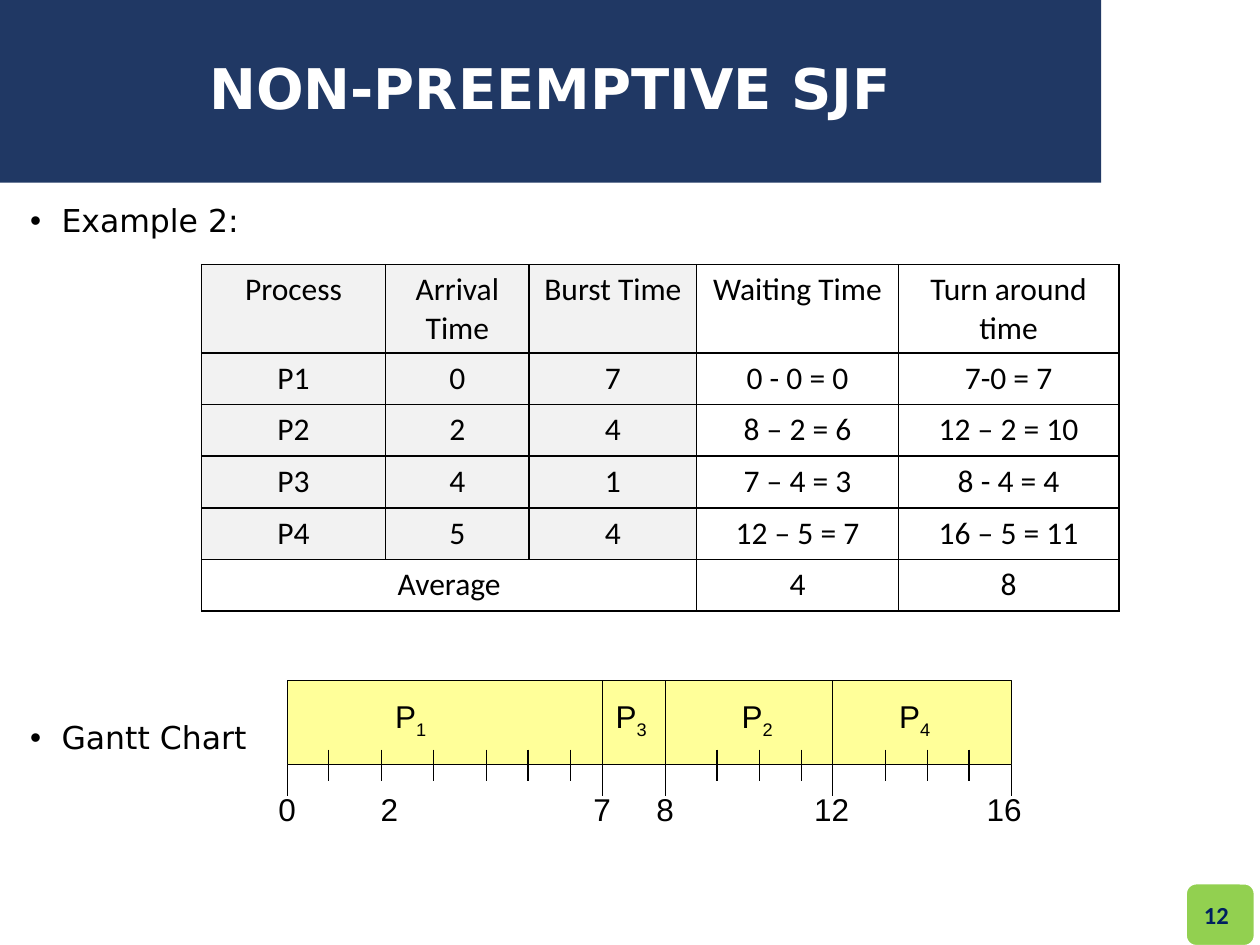
from lxml import etree
from pptx import Presentation
from pptx import util as u
from pptx.dml.color import RGBColor
from pptx.enum import shapes, text
from pptx.oxml import ns

NAVY = RGBColor(0x20, 0x38, 0x64)
NUMBER_BLUE = RGBColor(0x00, 0x20, 0x60)
GREEN = RGBColor(0x92, 0xD0, 0x50)
YELLOW = RGBColor(0xFF, 0xFF, 0x99)
GREY = RGBColor(0xF2, 0xF2, 0xF2)
BLACK = RGBColor(0x00, 0x00, 0x00)
WHITE = RGBColor(0xFF, 0xFF, 0xFF)

ROWS = [
    ["Process", "Arrival Time", "Burst Time", "Waiting Time", "Turn around time"],
    ["P1", "0", "7", "0 - 0 = 0", "7-0 = 7"],
    ["P2", "2", "4", "8 – 2 = 6", "12 – 2 = 10"],
    ["P3", "4", "1", "7 – 4 = 3", "8 - 4 = 4"],
    ["P4", "5", "4", "12 – 5 = 7", "16 – 5 = 11"],
    ["Average", "", "", "4", "8"],
]
COLUMN_WIDTHS = [1.46, 1.14, 1.33, 1.6, 1.75]
ROW_HEIGHT = 0.41

BAR_LEFT, BAR_TOP, BAR_RIGHT, BAR_BOTTOM = 2.28, 5.4, 8.03, 6.07
DIVIDERS = [4.78, 5.28, 6.61]
MINOR_TICKS = [2.61, 3.03, 3.44, 3.86, 4.19, 4.53, 5.69, 6.03, 6.36, 7.03, 7.36, 7.69]
PROCESS_CENTRES = {"1": 3.26, "3": 5.01, "2": 6.01, "4": 7.26}
TIME_CENTRES = {"0": 2.28, "2": 3.09, "7": 4.78, "8": 5.28, "12": 6.6, "16": 7.97}


class SlideBuilder:
    """Holds the style and the current slide, with a method per kind of element."""

    heading_font, table_font, chart_font = "DejaVu Sans", "Calibri", "Arial"
    body_size = 18

    def __init__(self, presentation):
        self.slide = presentation.slides.add_slide(presentation.slide_layouts[5])
        self.target = self.slide.shapes

    def start_group(self):
        self.target = self.slide.shapes.add_group_shape().shapes

    def format(self, paragraph, font, size, color=BLACK, bold=False,
               align=text.PP_ALIGN.CENTER):
        paragraph.alignment = align
        paragraph.font.name = font
        paragraph.font.size = u.Pt(size)
        paragraph.font.bold = bold
        paragraph.font.color.rgb = color

    def title(self, wording, left, top, width, height):
        title = self.slide.shapes.title
        title.left, title.top = u.Inches(left), u.Inches(top)
        title.width, title.height = u.Inches(width), u.Inches(height)
        title.fill.solid()
        title.fill.fore_color.rgb = NAVY
        frame = title.text_frame
        frame.text = wording
        frame.vertical_anchor = text.MSO_ANCHOR.MIDDLE
        paragraph = frame.paragraphs[0]
        paragraph.line_spacing = 0.9
        self.format(paragraph, self.heading_font, 32, WHITE, True)

    def box(self, kind, left, top, width, height, fill, line, line_width):
        shape = self.target.add_shape(
            kind, u.Inches(left), u.Inches(top), u.Inches(width), u.Inches(height))
        shape.shadow.inherit = False
        shape.fill.solid()
        shape.fill.fore_color.rgb = fill
        shape.line.color.rgb = line
        shape.line.width = u.Pt(line_width)

    def text_frame(self, left, top, width, height, wrap=True,
                   anchor=text.MSO_ANCHOR.MIDDLE):
        shape = self.target.add_textbox(
            u.Inches(left), u.Inches(top), u.Inches(width), u.Inches(height))
        frame = shape.text_frame
        frame.word_wrap = wrap
        frame.vertical_anchor = anchor
        return frame

    def bullets(self, items, gap, *place):
        frame = self.text_frame(*place, anchor=text.MSO_ANCHOR.TOP)
        for index, item in enumerate(items):
            paragraph = frame.add_paragraph() if index else frame.paragraphs[0]
            paragraph.text = item
            paragraph.line_spacing = 0.9
            paragraph.space_before = u.Pt(gap if index else 0)
            properties = paragraph._p.get_or_add_pPr()
            properties.set("marL", str(u.Inches(0.25)))
            properties.set("indent", str(-u.Inches(0.25)))
            etree.SubElement(properties, ns.qn("a:buFont"), typeface="Arial")
            etree.SubElement(properties, ns.qn("a:buChar"), char="•")
            self.format(paragraph, self.heading_font, self.body_size,
                        align=text.PP_ALIGN.LEFT)

    def page_number(self, number, *place):
        paragraph = self.text_frame(*place).paragraphs[0]
        paragraph.text = number
        self.format(paragraph, self.table_font, 14, NUMBER_BLUE, True,
                    text.PP_ALIGN.RIGHT)

    def label(self, wording, centre, top, width, subscript=""):
        frame = self.text_frame(centre - width / 2, top, width, 0.4, wrap=False)
        paragraph = frame.paragraphs[0]
        paragraph.line_spacing = 0.93
        paragraph.add_run().text = wording
        if subscript:
            run = paragraph.add_run()
            run.text = subscript
            run._r.get_or_add_rPr().set("baseline", "-25000")
        self.format(paragraph, self.chart_font, self.body_size)

    def vertical_line(self, x, top, bottom):
        line = self.target.add_connector(
            shapes.MSO_CONNECTOR.STRAIGHT,
            u.Inches(x), u.Inches(top), u.Inches(x), u.Inches(bottom))
        line.line.color.rgb = BLACK
        line.line.width = u.Pt(0.75)
        etree.SubElement(line._element.spPr, ns.qn("a:effectLst"))

    def borders(self, cell):
        properties = cell._tc.get_or_add_tcPr()
        for index, side in enumerate(("lnL", "lnR", "lnT", "lnB")):
            border = etree.Element(ns.qn(f"a:{side}"), w=str(u.Pt(1)))
            fill = etree.SubElement(border, ns.qn("a:solidFill"))
            etree.SubElement(fill, ns.qn("a:srgbClr"), val=str(BLACK))
            properties.insert(index, border)

    def table(self, rows, widths, left, top):
        table = self.target.add_table(
            len(rows), len(widths), u.Inches(left), u.Inches(top),
            u.Inches(sum(widths)), u.Inches(ROW_HEIGHT * len(rows))).table
        for column, width in zip(table.columns, widths):
            column.width = u.Inches(width)
        last = len(rows) - 1
        for row_index, row in enumerate(rows):
            table.rows[row_index].height = u.Inches(ROW_HEIGHT)
            for column_index, wording in enumerate(row):
                cell = table.cell(row_index, column_index)
                cell.text = wording
                if column_index < 3 and row_index < last:
                    cell.fill.solid()
                    cell.fill.fore_color.rgb = GREY
                else:
                    cell.fill.background()
                self.format(cell.text_frame.paragraphs[0], self.table_font, self.body_size)
                self.borders(cell)
        table.cell(last, 0).merge(table.cell(last, 2))

    def gantt_chart(self):
        self.start_group()
        self.box(shapes.MSO_SHAPE.RECTANGLE, BAR_LEFT, BAR_TOP, BAR_RIGHT - BAR_LEFT,
                 BAR_BOTTOM - BAR_TOP, YELLOW, BLACK, 0.75)
        for x in DIVIDERS:
            self.vertical_line(x, BAR_TOP, BAR_BOTTOM)
        for x in [BAR_LEFT, *DIVIDERS, BAR_RIGHT]:
            self.vertical_line(x, BAR_BOTTOM, BAR_BOTTOM + 0.25)
        for x in MINOR_TICKS:
            self.vertical_line(x, 5.95, 6.2)
        for number, centre in PROCESS_CENTRES.items():
            self.label("P", centre, 5.49, 0.46, number)
        for time, centre in TIME_CENTRES.items():
            self.label(time, centre, 6.24, 0.2 + 0.14 * len(time))


def main():
    presentation = Presentation()
    presentation.slide_width, presentation.slide_height = u.Inches(10), u.Inches(7.5)
    builder = SlideBuilder(presentation)
    builder.box(shapes.MSO_SHAPE.ROUNDED_RECTANGLE, 9.41, 7.01, 0.55, 0.5,
                GREEN, WHITE, 1.5)
    builder.title("NON-PREEMPTIVE SJF", 0, 0, 8.74, 1.45)
    builder.bullets(["Example 2:", "Gantt Chart"], 276, 0.14, 1.58, 9.71, 5.37)
    builder.page_number("12", 7.6, 7.06, 2.25, 0.4)
    builder.table(ROWS, COLUMN_WIDTHS, 1.6, 2.1)
    builder.gantt_chart()
    presentation.save("out.pptx")


if __name__ == "__main__":
    main()
